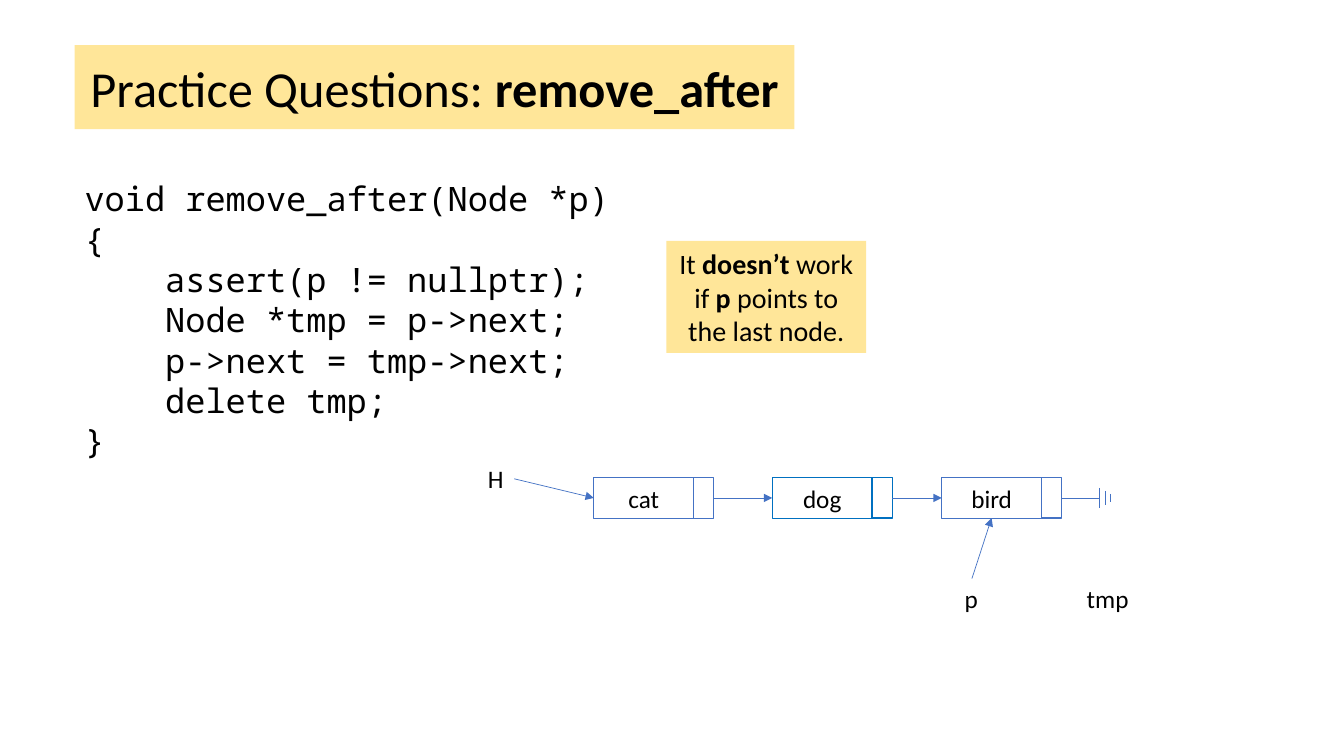
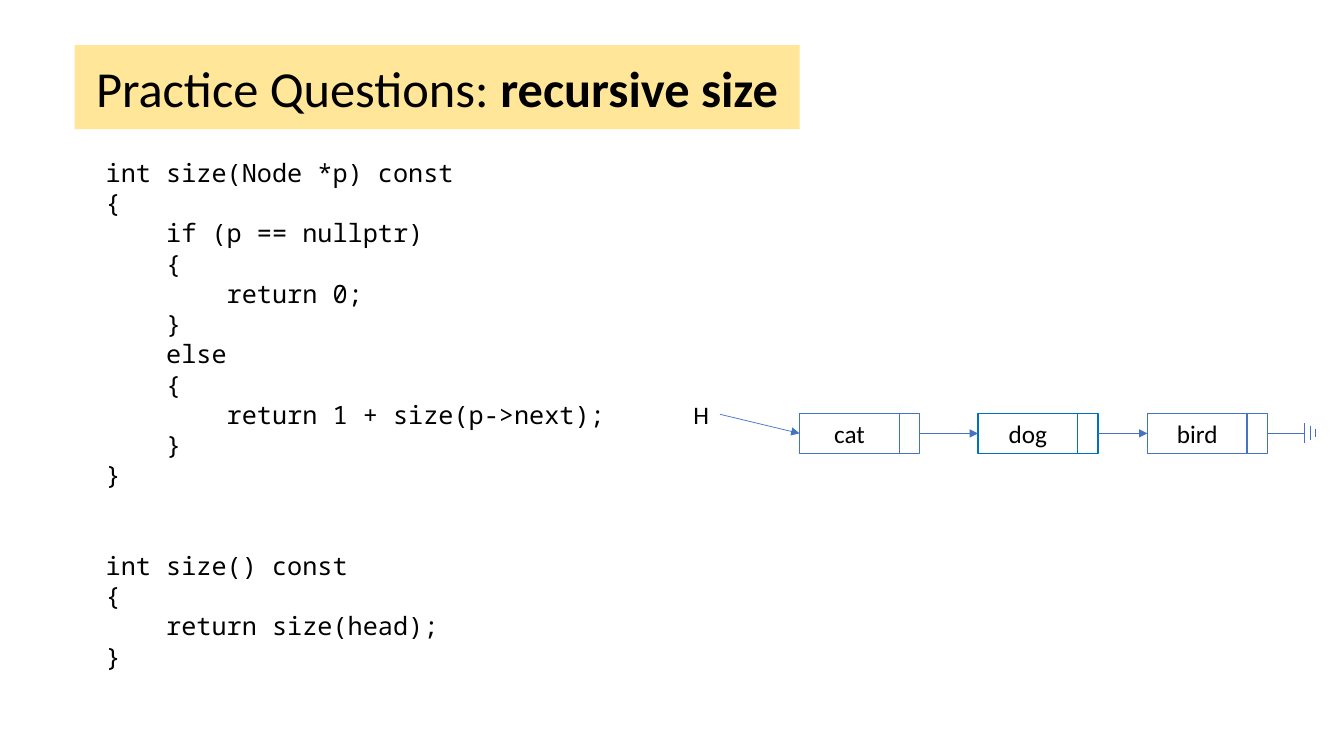
from dataclasses import dataclass
from typing import Any, NamedTuple

from lxml import etree
from pptx import Presentation
from pptx import util as u
from pptx.dml.color import RGBColor
from pptx.enum import shapes, text
from pptx.oxml import ns

INK, SAND, BLUE, TEAL = "000000", "FFE699", "4472C4", "0070C0"
SANS, MONO = "Calibri", "Noto Sans Mono"
LEFT, MID = text.PP_ALIGN.LEFT, text.PP_ALIGN.CENTER
TOP, WEST, FOOT, EAST = range(4)  # connection sites of a rectangle
BODY, CELL, HIGH = 0.99, 0.2, 0.4  # parts of a list node


class Line(NamedTuple):
    text: str
    depth: int = 0
    gap: float = 0  # blank lines above


class Box(NamedTuple):
    x: float
    y: float
    w: float
    h: float


class Bar(NamedTuple):
    dx: float
    half: float


@dataclass
class Node:
    word: str
    dx: float
    hue: str
    edge: float


NODES = [
    Node("cat", 0, BLUE, 0.75),
    Node("dog", 1.77, TEAL, 1),
    Node("bird", 3.45, BLUE, 1),
]
BARS = [Bar(0.37, 0.1), Bar(0.43, 0.07), Bar(0.48, 0.04)]

REMOVE = [
    Line("void remove_after(Node *p)"),
    Line("{"),
    Line("assert(p != nullptr);", 1),
    Line("Node *tmp = p->next;", 1),
    Line("p->next = tmp->next;", 1),
    Line("delete tmp;", 1),
    Line("}"),
]
SIZE = [
    Line("int size(Node *p) const"),
    Line("{"),
    Line("if (p == nullptr)", 1),
    Line("{", 1),
    Line("return 0;", 2),
    Line("}", 1),
    Line("else", 1),
    Line("{", 1),
    Line("return 1 + size(p->next);", 2),
    Line("}", 1),
    Line("}"),
    Line("int size() const", gap=2),
    Line("{"),
    Line("return size(head);", 1),
    Line("}"),
]


def rgb(code: str) -> RGBColor:
    return RGBColor.from_string(code)


def inch(*nums: float) -> list[u.Length]:
    return [u.Inches(n) for n in nums]


def put(shape: Any, lines: list[Line], *, size: float = 18, face: str = SANS,
        align: Any = LEFT, wrap: bool = True, anchor: Any = text.MSO_ANCHOR.TOP) -> None:
    """Fill a shape with lines; ** switches bold on and off."""
    frame = shape.text_frame
    frame.word_wrap = wrap
    frame.auto_size = text.MSO_AUTO_SIZE.SHAPE_TO_FIT_TEXT
    frame.vertical_anchor = anchor
    for i, line in enumerate(lines):
        para = frame.add_paragraph() if i else frame.paragraphs[0]
        para.alignment = align
        if line.depth:  # four characters of 0.6 em a level
            pad = u.Pt(2.4 * size * line.depth)
            para._p.get_or_add_pPr().set("marL", str(pad))
        if line.gap:
            para.space_before = u.Pt(1.2 * size * line.gap)
        for k, part in enumerate(line.text.split("**")):
            if part:
                run = para.add_run()
                run.text = part
                font = run.font
                font.name, font.size, font.bold = face, u.Pt(size), k % 2 == 1
                font.color.rgb = rgb(INK)


def rect(on: Any, box: Box, *, fill: str = "", hue: str = "", edge: float = 0.75) -> Any:
    shape = on.add_shape(shapes.MSO_SHAPE.RECTANGLE, *inch(*box))
    shape.shadow.inherit = False
    if fill:
        shape.fill.solid()
        shape.fill.fore_color.rgb = rgb(fill)
    else:
        shape.fill.background()
    if hue:
        shape.line.color.rgb = rgb(hue)
        shape.line.width = u.Pt(edge)
    else:
        shape.line.fill.background()
    return shape


def wire(on: Any, x1: float, y1: float, x2: float, y2: float) -> Any:
    line = on.add_connector(shapes.MSO_CONNECTOR.STRAIGHT, *inch(x1, y1, x2, y2))
    line.line.color.rgb = rgb(BLUE)
    line.line.width = u.Pt(0.5)
    etree.SubElement(line._element.spPr, ns.qn("a:effectLst"))
    return line


def link(on: Any, src: Any, out: int, dest: Any, into: int) -> None:
    """Glue an arrow from one shape's site to another's."""
    line = wire(on, 0, 0, 1, 1)
    line.begin_connect(src, out)
    line.end_connect(dest, into)
    tip = etree.SubElement(line.line._get_or_add_ln(), ns.qn("a:tailEnd"))
    tip.set("type", "triangle")


def label(on: Any, word: str, x: float, y: float, w: float) -> Any:
    shape = on.add_textbox(*inch(x, y, w, HIGH))
    put(shape, [Line(word)], wrap=False)
    return shape


def code(on: Any, lines: list[Line], box: Box, size: float) -> None:
    put(on.add_textbox(*inch(*box)), lines, size=size, face=MONO)


def chain(on: Any, x: float, y: float) -> Any:
    """Draw the linked list and return the body of its last node."""
    last, site = label(on, "H", x - 1.15, y - 0.19, 0.36), EAST
    for node in NODES:
        group = on.add_group_shape().shapes
        left = x + node.dx
        body = rect(group, Box(left, y, BODY, HIGH), hue=node.hue)
        put(body, [Line(node.word)], align=MID, anchor=text.MSO_ANCHOR.MIDDLE)
        cell = rect(group, Box(left + BODY, y, CELL, HIGH), hue=node.hue, edge=node.edge)
        link(on, last, site, body, WEST)
        last = cell
    # Ground sign for the null pointer
    end, mid = left + BODY + CELL, y + HIGH / 2
    wire(group, end, mid, end + BARS[0].dx, mid)
    for bar in BARS:
        wire(group, end + bar.dx, mid - bar.half, end + bar.dx, mid + bar.half)
    return body


def page(deck: Any, topic: str, width: float) -> Any:
    """Add a slide with the shared title band and return its shapes."""
    on = deck.slides.add_slide(deck.slide_layouts[5]).shapes
    head = on.title
    head.left, head.top, head.width, head.height = inch(0.74, 0.51, width, 0.71)
    head.fill.solid()
    head.fill.fore_color.rgb = rgb(SAND)
    put(head, [Line(f"Practice Questions: **{topic}**")], size=36, align=MID,
        anchor=text.MSO_ANCHOR.MIDDLE)
    return on


def main() -> None:
    deck = Presentation()
    deck.slide_width, deck.slide_height = inch(13.33, 7.5)

    # Removing the node after p
    on = page(deck, "remove_after", 7.14)
    code(on, REMOVE, Box(0.74, 1.72, 5.47, 2.93), 24)
    note = rect(on, Box(6.61, 2.39, 1.98, 1.11), fill=SAND)
    put(note, [Line("It **doesn’t** work if **p** points to the last node.")],
        size=20, align=MID, anchor=text.MSO_ANCHOR.MIDDLE)
    bird = chain(on, 5.89, 4.74)
    link(on, label(on, "p", 9.47, 5.74, 0.34), TOP, bird, FOOT)
    label(on, "tmp", 10.68, 5.74, 0.62)

    # Counting nodes recursively
    on = page(deck, "recursive size", 7.19)
    chain(on, 7.93, 4.1)
    code(on, SIZE, Box(0.95, 1.51, 5.34, 5.25), 18)

    deck.save("out.pptx")


if __name__ == "__main__":
    main()
